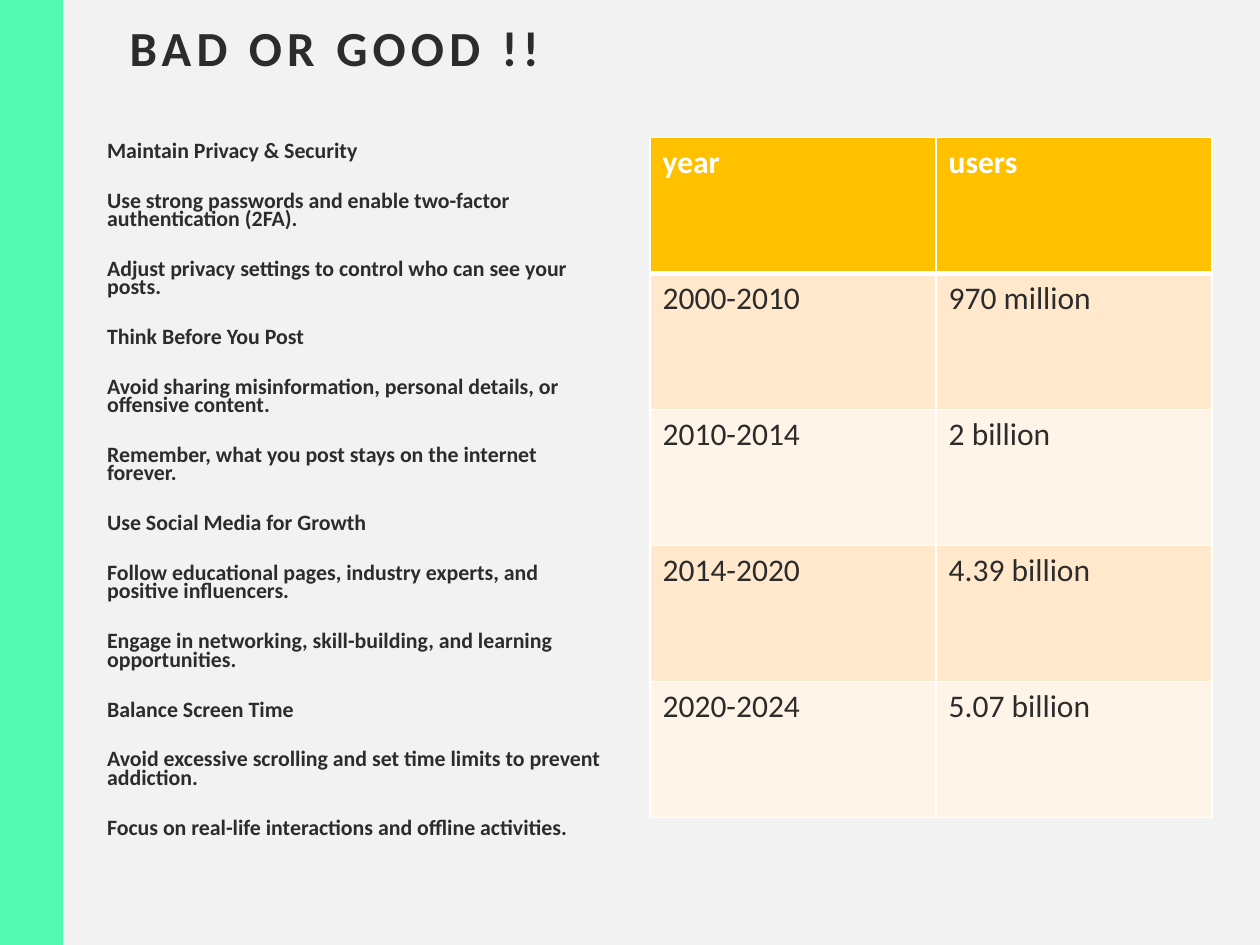
from lxml import etree
from pptx import Presentation
from pptx.dml.color import RGBColor
from pptx.enum.shapes import MSO_SHAPE
from pptx.enum.text import MSO_ANCHOR
from pptx.oxml import parse_xml
from pptx.oxml.ns import nsdecls
from pptx.util import Inches, Pt

BACKGROUND = RGBColor(0xF2, 0xF2, 0xF2)
MINT = RGBColor(0x53, 0xF8, 0xB1)
INK = RGBColor(0x2C, 0x2C, 0x2C)
WHITE = RGBColor(0xFF, 0xFF, 0xFF)
AMBER = RGBColor(0xFF, 0xC0, 0x00)
PEACH = RGBColor(0xFF, 0xE8, 0xCC)
CREAM = RGBColor(0xFF, 0xF4, 0xE7)

ADVICE = [
    "Maintain Privacy & Security",
    "Use strong passwords and enable two-factor authentication (2FA).",
    "Adjust privacy settings to control who can see your posts.",
    "Think Before You Post",
    "Avoid sharing misinformation, personal details, or offensive content.",
    "Remember, what you post stays on the internet forever.",
    "Use Social Media for Growth",
    "Follow educational pages, industry experts, and positive influencers.",
    "Engage in networking, skill-building, and learning opportunities.",
    "Balance Screen Time",
    "Avoid excessive scrolling and set time limits to prevent addiction.",
    "Focus on real-life interactions and offline activities.",
]
USERS_BY_YEAR = [
    ("year", "users"),
    ("2000-2010", "970 million"),
    ("2010-2014", "2 billion"),
    ("2014-2020", "4.39 billion"),
    ("2020-2024", "5.07 billion"),
]


def style_font(font, size, color, bold):
    font.name = "Calibri"
    font.size = Pt(size)
    font.bold = bold
    font.color.rgb = color


def add_cell_borders(cell, top, bottom):
    """Draw white borders; top and bottom are widths in points, the sides are 1 point."""
    properties = cell._tc.get_or_add_tcPr()
    widths = {"lnL": 1, "lnR": 1, "lnT": top, "lnB": bottom}
    for position, (tag, width) in enumerate(widths.items()):
        line = parse_xml(
            f'<a:{tag} {nsdecls("a")} w="{Pt(width)}"><a:solidFill>'
            f'<a:srgbClr val="{WHITE}"/></a:solidFill></a:{tag}>'
        )
        properties.insert(position, line)


deck = Presentation()
deck.slide_width = Inches(10)
deck.slide_height = Inches(7.5)
page = deck.slides.add_slide(deck.slide_layouts[6])
page.background.fill.solid()
page.background.fill.fore_color.rgb = BACKGROUND

side_band = page.shapes.add_shape(
    MSO_SHAPE.RECTANGLE, 0, 0, Inches(0.5), deck.slide_height
)
side_band.shadow.inherit = False
side_band.fill.solid()
side_band.fill.fore_color.rgb = MINT
side_band.line.fill.background()

title_box = page.shapes.add_textbox(
    Inches(0.93), Inches(0.16), Inches(8.32), Inches(0.51)
)
title_box.text_frame.word_wrap = True
title_box.text_frame.vertical_anchor = MSO_ANCHOR.MIDDLE
title = title_box.text_frame.paragraphs[0]
title.line_spacing = 0.8
title_span = title.add_run()
title_span.text = "BAD OR GOOD !!"
style_font(title_span.font, 28, INK, True)
title_span.font._element.set("spc", "300")

advice_box = page.shapes.add_textbox(
    Inches(0.8), Inches(1.09), Inches(4.12), Inches(6.07)
)
advice_frame = advice_box.text_frame
advice_frame.word_wrap = True
advice_frame.margin_left = Inches(0.05)
for number, advice in enumerate(ADVICE):
    paragraph = advice_frame.add_paragraph() if number else advice_frame.paragraphs[0]
    paragraph.text = advice
    paragraph.line_spacing = 0.7
    paragraph.space_before = Pt(6 if number else 0)
    paragraph.space_after = Pt(12)
    style_font(paragraph.font, 12.5, INK, True)

table = page.shapes.add_table(
    len(USERS_BY_YEAR), 2, Inches(5.16), Inches(1.09), Inches(4.46), Inches(5.4)
).table
table.columns[0].width = Inches(2.27)
table.columns[1].width = Inches(2.19)
for row_number, values in enumerate(USERS_BY_YEAR):
    is_header = row_number == 0
    band = AMBER if is_header else (PEACH if row_number % 2 else CREAM)
    table.rows[row_number].height = Inches(1.08)
    for column_number, value in enumerate(values):
        cell = table.cell(row_number, column_number)
        cell.text = value
        cell.fill.solid()
        cell.fill.fore_color.rgb = band
        style_font(
            cell.text_frame.paragraphs[0].font,
            18, WHITE if is_header else INK, is_header,
        )
        add_cell_borders(
            cell, top=3 if row_number == 1 else 1, bottom=3 if is_header else 1
        )

deck.save("out.pptx")
